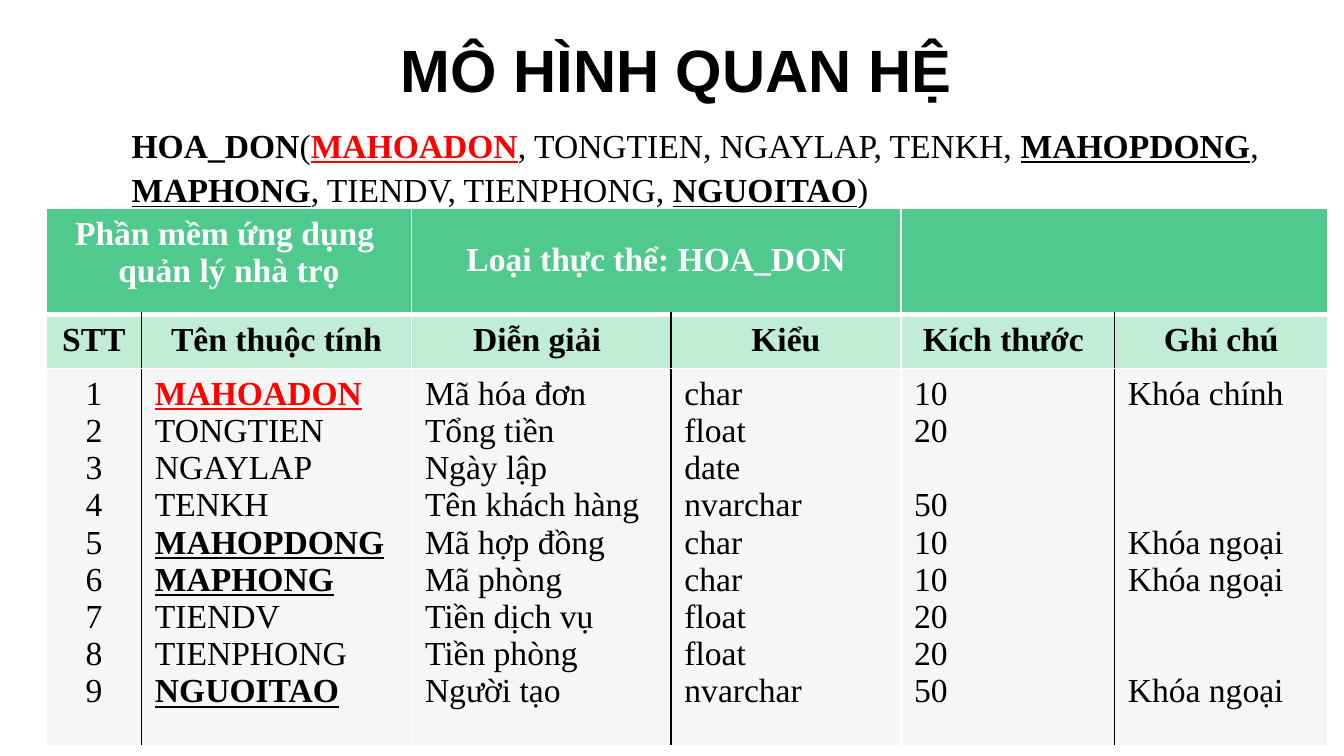
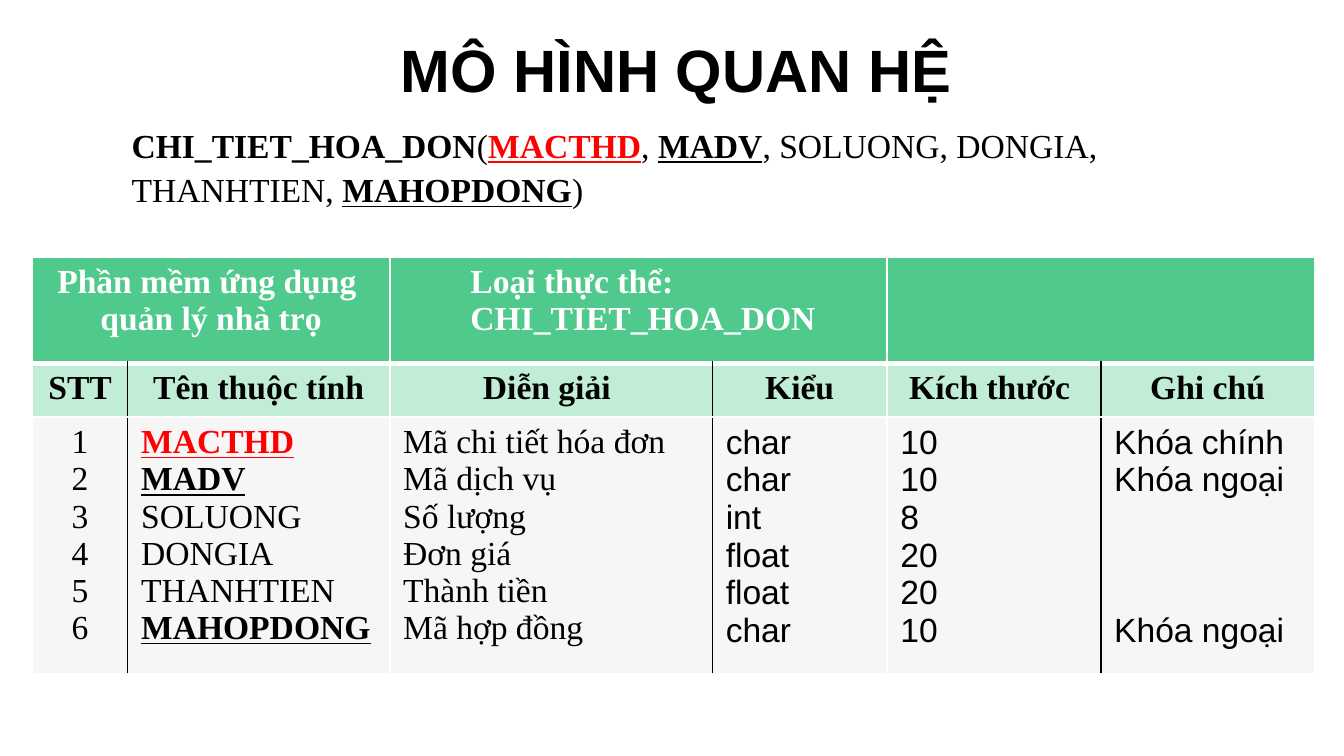
import pptx
import pptx.dml.color
import pptx.enum.text
import pptx.oxml
import pptx.oxml.ns
import pptx.util

Pt = pptx.util.Pt
ALIGN = pptx.enum.text.PP_ALIGN

# Content
TITLE = "MÔ HÌNH QUAN HỆ"
SOFTWARE = ["Phần mềm ứng dụng ", "quản lý nhà trọ"]
HEADINGS = ["STT", "Tên thuộc tính", "Diễn giải ", "Kiểu", "Kích thước ", "Ghi chú"]
PRIMARY, FOREIGN = "Khóa chính", "Khóa ngoại"

# Attributes: name, meaning, type, size, note
ENTITIES = [
    {
        "schema": [[
            ("HOA_DON", "strong"), ("(", "plain"), ("MAHOADON", "primary"),
            (", TONGTIEN, NGAYLAP, TENKH, ", "plain"), ("MAHOPDONG", "foreign"),
            (", ", "plain"), ("MAPHONG", "foreign"),
            (", TIENDV, TIENPHONG, ", "plain"), ("NGUOITAO", "foreign"), (")", "plain"),
        ]],
        "schema_height": 138,
        "entity": ["Loại thực thể: HOA_DON"],
        "entity_format": {"alignment": ALIGN.CENTER, "line_spacing": 1.7},
        "entity_indent": 0,
        "attributes": [
            ("MAHOADON", "Mã hóa đơn", "char", "10", PRIMARY),
            ("TONGTIEN", "Tổng tiền", "float", "20", ""),
            ("NGAYLAP", "Ngày lập", "date", "", ""),
            ("TENKH", "Tên khách hàng", "nvarchar", "50", ""),
            ("MAHOPDONG", "Mã hợp đồng", "char", "10", FOREIGN),
            ("MAPHONG", "Mã phòng", "char", "10", FOREIGN),
            ("TIENDV", "Tiền dịch vụ", "float", "20", ""),
            ("TIENPHONG", "Tiền phòng", "float", "20", ""),
            ("NGUOITAO", "Người tạo", "nvarchar", "50", FOREIGN),
        ],
        "detail_font": "Times New Roman",
        "table_at": (24.8, 111.8),
        "columns": [51, 144.7, 139, 123.1, 114.5, 114.5],
        "rows": [56.9, 28.1, 202.3],
    },
    {
        "schema": [
            [("CHI_TIET_HOA_DON", "strong"), ("(", "plain"), ("MACTHD", "primary"),
             (", ", "plain"), ("MADV", "foreign"), (", SOLUONG, DONGIA,", "plain")],
            [("THANHTIEN, ", "plain"), ("MAHOPDONG", "foreign"), (")", "plain")],
        ],
        "schema_height": 116,
        "entity": ["Loại thực thể:", "CHI_TIET_HOA_DON"],
        "entity_format": {"level": 1, "alignment": ALIGN.LEFT},
        "entity_indent": 36,
        "attributes": [
            ("MACTHD", "Mã chi tiết hóa đơn", "char", "10", PRIMARY),
            ("MADV", "Mã dịch vụ", "char", "10", FOREIGN),
            ("SOLUONG", "Số lượng", "int", "8", ""),
            ("DONGIA", "Đơn giá", "float", "20", ""),
            ("THANHTIEN", "Thành tiền", "float", "20", ""),
            ("MAHOPDONG", "Mã hợp đồng", "char", "10", FOREIGN),
        ],
        "detail_font": "Arial",
        "table_at": (17.4, 137.7),
        "columns": [51, 140.4, 172.8, 93.6, 114.5, 114.5],
        "rows": [56.9, 28.1, 137.5],
    },
]

# Shared look
BLACK, WHITE, RED = "000000", "FFFFFF", "FF0000"
ROW_FILLS = ["50C98C", "C1ECD6", "F6F6F6"]
SERIF, SANS = "Times New Roman", "Arial"
TEXT_SIZE = 18
LINE_HEIGHT = {SERIF: 19.93, SANS: 20.1}
STYLES = {
    "plain": {"color": BLACK, "bold": False, "underline": False},
    "strong": {"color": BLACK, "bold": True, "underline": False},
    "header": {"color": WHITE, "bold": True, "underline": False},
    "primary": {"color": RED, "bold": True, "underline": True},
    "foreign": {"color": BLACK, "bold": True, "underline": True},
}
NOTE_STYLES = {PRIMARY: "primary", FOREIGN: "foreign"}


def rgb(color):
    return pptx.dml.color.RGBColor.from_string(color)


def set_all(target, values):
    for name, value in values.items():
        setattr(target, name, value)


def add_run(paragraph, text, style, font_name=SERIF, size=TEXT_SIZE):
    run = paragraph.add_run()
    run.text = text
    values = dict(STYLES[style], name=font_name, size=Pt(size))
    run.font.color.rgb = rgb(values.pop("color"))
    set_all(run.font, values)


def next_paragraph(frame):
    first = frame.paragraphs[0]
    return first if not first.runs else frame.add_paragraph()


def write_lines(cell, lines, paragraph_format, font_name=SERIF, indent=0):
    """Write (text, style) lines; an empty text widens the gap above the next line."""
    skipped = 0
    for text, style in lines:
        if not text:
            skipped += 1
            continue
        paragraph = next_paragraph(cell.text_frame)
        set_all(paragraph, paragraph_format)
        if skipped:
            paragraph.space_before = Pt(skipped * LINE_HEIGHT[font_name])
            skipped = 0
        if indent:
            properties = paragraph._p.get_or_add_pPr()
            properties.set("marL", str(Pt(indent)))
            properties.set("indent", "0")
        add_run(paragraph, text, style, font_name)


def add_border(cell, side, color, width):
    namespace = pptx.oxml.ns.nsdecls("a")
    cell._tc.get_or_add_tcPr().append(pptx.oxml.parse_xml(
        f'<a:ln{side} {namespace} w="{Pt(width)}"><a:solidFill>'
        f'<a:srgbClr val="{color}"/></a:solidFill></a:ln{side}>'))


def format_cell(cell, row, column):
    # Black rules split each pair of columns below the header row
    left = BLACK if row and column % 2 else WHITE
    right = BLACK if row and column in (0, 2, 4) else WHITE
    add_border(cell, "L", left, 1)
    add_border(cell, "R", right, 1)
    add_border(cell, "T", WHITE, 3 if row == 1 else 1)
    add_border(cell, "B", WHITE, 1 if row else 3)
    cell.fill.solid()
    cell.fill.fore_color.rgb = rgb(ROW_FILLS[row])


def add_title(slide):
    title = slide.shapes.title
    set_all(title, {"left": Pt(207.4), "top": Pt(10.8), "width": Pt(319.7), "height": Pt(45.4)})
    set_all(title.text_frame, {
        "margin_top": Pt(7), "word_wrap": True,
        "auto_size": pptx.enum.text.MSO_AUTO_SIZE.NONE,
        "vertical_anchor": pptx.enum.text.MSO_ANCHOR.TOP,
    })
    paragraph = title.text_frame.paragraphs[0]
    set_all(paragraph, {"alignment": ALIGN.LEFT, "space_before": Pt(0)})
    add_run(paragraph, TITLE, "strong", SANS, 32)


def add_schema(slide, content):
    box = slide.shapes.add_textbox(Pt(63.4), Pt(61.2), Pt(618.5), Pt(content["schema_height"]))
    box.text_frame.word_wrap = True
    for line in content["schema"]:
        paragraph = next_paragraph(box.text_frame)
        paragraph.line_spacing = 1.1
        for text, style in line:
            add_run(paragraph, text, style)


def add_attribute_table(slide, content):
    widths, heights = content["columns"], content["rows"]
    left, top = content["table_at"]
    table = slide.shapes.add_table(
        len(heights), len(widths), Pt(left), Pt(top), Pt(sum(widths)), Pt(sum(heights))).table
    set_all(table, {"first_row": False, "horz_banding": False})
    for column, width in zip(table.columns, widths):
        column.width = Pt(width)
    for row, height in zip(table.rows, heights):
        row.height = Pt(height)
    for row in range(len(heights)):
        for column in range(len(widths)):
            format_cell(table.cell(row, column), row, column)

    # Header row: three merged pairs
    for column in (0, 2, 4):
        table.cell(0, column).merge(table.cell(0, column + 1))
    centred = {"alignment": ALIGN.CENTER}
    write_lines(table.cell(0, 0), [(text, "header") for text in SOFTWARE], centred)
    write_lines(table.cell(0, 2), [(text, "header") for text in content["entity"]],
                content["entity_format"], indent=content["entity_indent"])

    # Column headings
    for column, heading in enumerate(HEADINGS):
        write_lines(table.cell(1, column), [(heading, "strong")], centred)

    # Attributes, one cell per column
    attributes = content["attributes"]
    names, *details = zip(*attributes)
    styles = [NOTE_STYLES.get(attribute[-1], "plain") for attribute in attributes]
    numbers = [(str(number), "plain") for number in range(1, len(attributes) + 1)]
    write_lines(table.cell(2, 0), numbers, centred)
    write_lines(table.cell(2, 1), zip(names, styles), {})
    for column, texts in enumerate(details, start=2):
        font_name = SERIF if column == 2 else content["detail_font"]
        write_lines(table.cell(2, column), [(text, "plain") for text in texts], {}, font_name)


def main():
    presentation = pptx.Presentation()
    set_all(presentation, {"slide_width": Pt(720), "slide_height": Pt(405)})
    for content in ENTITIES:
        slide = presentation.slides.add_slide(presentation.slide_layouts[5])
        add_title(slide)
        add_schema(slide, content)
        add_attribute_table(slide, content)
    presentation.save("out.pptx")


if __name__ == "__main__":
    main()
